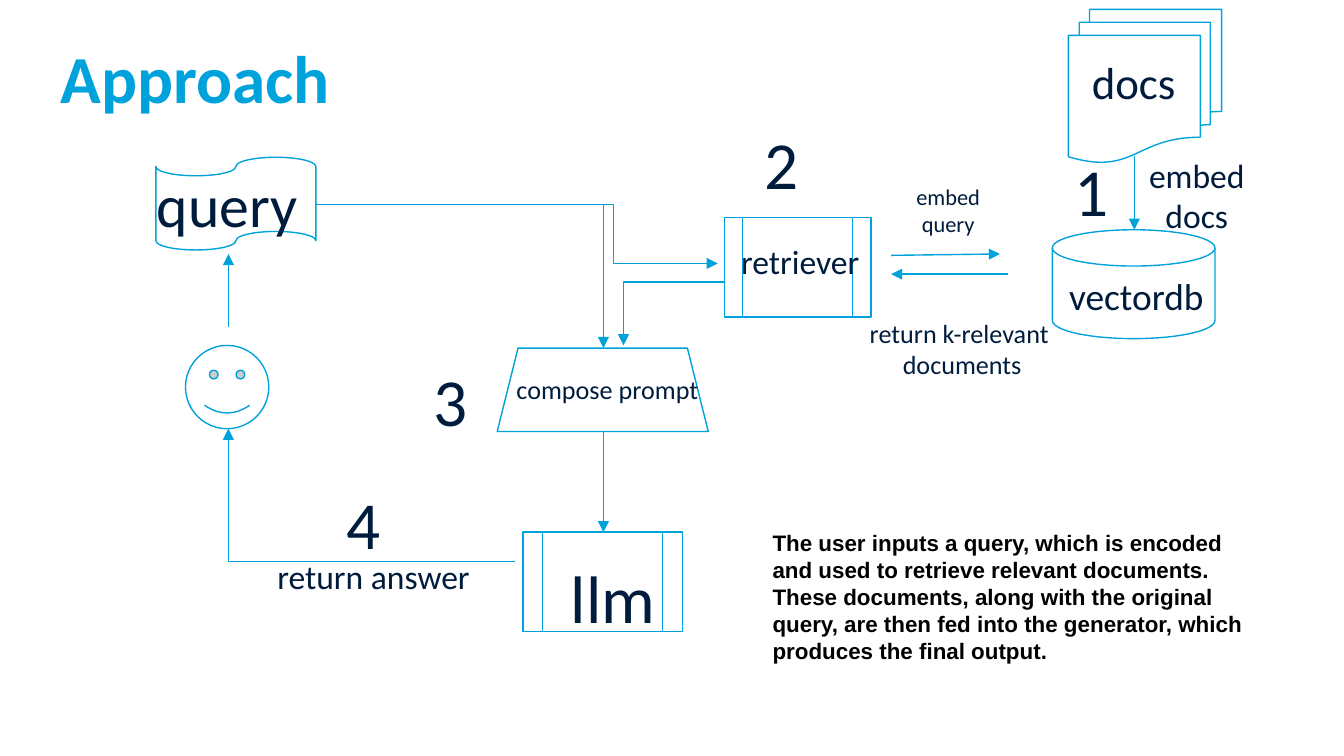
from lxml.etree import SubElement
from pptx import Presentation
from pptx.dml.color import RGBColor
from pptx.enum.shapes import MSO_CONNECTOR as Link, MSO_SHAPE as Kind
from pptx.enum.text import MSO_ANCHOR as Anchor, MSO_AUTO_SIZE as Fit, PP_ALIGN as Align
from pptx.oxml.ns import qn
from pptx.util import Emu, Pt

PX = 9144  # 100 px to the inch
BLUE, NAVY, BLACK, WHITE = "00A2DB", "001C3D", "000000", "FFFFFF"


def px(*nums):
    return [Emu(n * PX) for n in nums]


def color(target, code):
    target.rgb = RGBColor.from_string(code)


def style(frame, size, code, align, font="Calibri", bold=False):
    for para in frame.paragraphs:
        para.alignment = align
        for run in para.runs:
            run.font.name, run.font.size, run.font.bold = font, Pt(size), bold
            color(run.font.color, code)


def shape(slide, kind, x, y, w, h):
    item = slide.shapes.add_shape(kind, *px(x, y, w, h))
    item.shadow.inherit = False
    item.fill.solid()
    color(item.fill.fore_color, WHITE)
    color(item.line.color, BLUE)
    item.line.width = Pt(0.75)
    return item


def label(slide, text, size, x, y, w, h, align=Align.CENTER, code=NAVY, **look):
    frame = slide.shapes.add_textbox(*px(x, y, w, h)).text_frame
    frame.word_wrap = True
    frame.auto_size = Fit.SHAPE_TO_FIT_TEXT
    frame.margin_left = frame.margin_right = Emu(10 * PX)
    frame.margin_top = frame.margin_bottom = Emu(10 * PX)
    frame.text = text
    style(frame, size, code, align, **look)


def arrow(slide, start, end, kind=Link.STRAIGHT):
    line = slide.shapes.add_connector(kind, *px(*start, *end))
    color(line.line.color, BLUE)
    line.line.width = Pt(0.75)
    props = line._element.spPr
    SubElement(props.find(qn("a:ln")), qn("a:tailEnd"), type="triangle")
    SubElement(props, qn("a:effectLst"))
    return props.find(qn("a:prstGeom"))


def corner(slide, start, end):
    """Arrow with one bend: across, then up or down."""
    arrow(slide, start, end, Link.ELBOW).set("prst", "bentConnector2")


def step(slide, start, end, share):
    """Arrow with two bends, the first at a share of the width."""
    geom = arrow(slide, start, end, Link.ELBOW)
    guides = geom.find(qn("a:avLst"))
    if guides is None:
        guides = SubElement(geom, qn("a:avLst"))
    SubElement(guides, qn("a:gd"), name="adj1", fmla=f"val {share * 1000}")


def heading(slide, x, y, w, h):
    title = slide.shapes.title
    title.left, title.top, title.width, title.height = px(x, y, w, h)
    frame = title.text_frame
    frame.text = "Approach"
    frame.auto_size = Fit.NONE
    frame.vertical_anchor = Anchor.TOP
    frame.margin_left = frame.margin_right = 0
    frame.margin_top = frame.margin_bottom = 0
    style(frame, 36, BLUE, Align.LEFT, bold=True)


def flows(slide):
    """Bent arrows that join the regions."""
    query = (235, 152)
    corner(slide, query, (449, 259))
    step(slide, query, (534, 196), 74)
    corner(slide, (548, 210), (464, 257))
    corner(slide, (383, 418), (170, 319))
    label(slide, "return answer", 18, 178, 404, 200, 50)


def user(slide, x, y, w, h):
    shape(slide, Kind.FLOWCHART_PUNCHED_TAPE, x, y, w, 69)
    label(slide, "query", 32, x - 79, y - 2, 264, 74)
    face = 62
    shape(slide, Kind.SMILEY_FACE, x + 22, y + h - face, face, face)
    arrow(slide, (x + 54, y + 126), (x + 54, y + 72))


def writer(slide, x, y, w, h):
    """Prompt composer above the language model."""
    mid = x + w // 2 + 1
    form = shape(slide, Kind.TRAPEZOID, x, y, w, 62)
    form.adjustments[0] = 0.25
    label(slide, "compose prompt", 14, x, y + 9, 164, 44)
    shape(slide, Kind.FLOWCHART_PREDEFINED_PROCESS, x + 19, y + h - 74, 119, 74)
    label(slide, "llm", 36, x + 29, y + h - 66, 114, 81)
    arrow(slide, (mid, y + 62), (mid, y + h - 74))


def finder(slide, x, y, w, h):
    """Retriever with its two-way link to the store."""
    shape(slide, Kind.FLOWCHART_PREDEFINED_PROCESS, x, y, 109, h)
    label(slide, "retriever", 18, x - 26, y + 7, 165, 50)
    arrow(slide, (x + 124, y + 28), (x + 205, y + 27))
    arrow(slide, (x + w, y + 42), (x + 124, y + 42))
    label(slide, "embed\nquery", 12, x + 102, y - 36, 129, 61)
    label(slide, "return k-relevant \ndocuments", 14, x + 77, y + 64, 200, 67)


def store(slide, x, y, w, h):
    """Documents above the vector database."""
    shape(slide, Kind.FLOWCHART_MULTIDOCUMENT, x + 12, y, 114, 114)
    label(slide, "docs", 24, x - 6, y + 24, 133, 61)
    disk = y + h - 81
    shape(slide, Kind.FLOWCHART_MAGNETIC_DISK, x, disk, w, 81)
    arrow(slide, (x + 61, y + 109), (x + 61, disk))
    label(slide, "embed\ndocs", 18, x + 43, y + 98, 129, 81)
    label(slide, "vectordb", 20, x - 4, disk + 22, 133, 54)


def numbers(slide, spots):
    for num, (x, y) in enumerate(spots, 1):
        label(slide, str(num), 36, x, y, 57, 81, Align.LEFT)


def summary(slide, x, y, w, h):
    text = ("The user inputs a query, which is encoded and used to retrieve "
            "relevant documents. These documents, along with the original query, "
            "are then fed into the generator, which produces the final output.")
    label(slide, text, 12, x, y, w, h, Align.LEFT, BLACK, font="Arial", bold=True)


def main():
    deck = Presentation()
    deck.slide_width = Emu(1000 * PX)
    deck.slide_height = Emu(deck.slide_width * 9 // 16)
    slide = deck.slides.add_slide(deck.slide_layouts[5])
    heading(slide, 45, 27, 911, 62)
    flows(slide)
    user(slide, 116, 117, 119, 202)
    writer(slide, 370, 259, 157, 211)
    finder(slide, 539, 162, 211, 74)
    store(slide, 783, 7, 121, 245)
    numbers(slide, [(790, 101), (559, 81), (313, 257), (248, 349)])
    summary(slide, 565, 384, 370, 121)
    deck.save("out.pptx")


if __name__ == "__main__":
    main()
